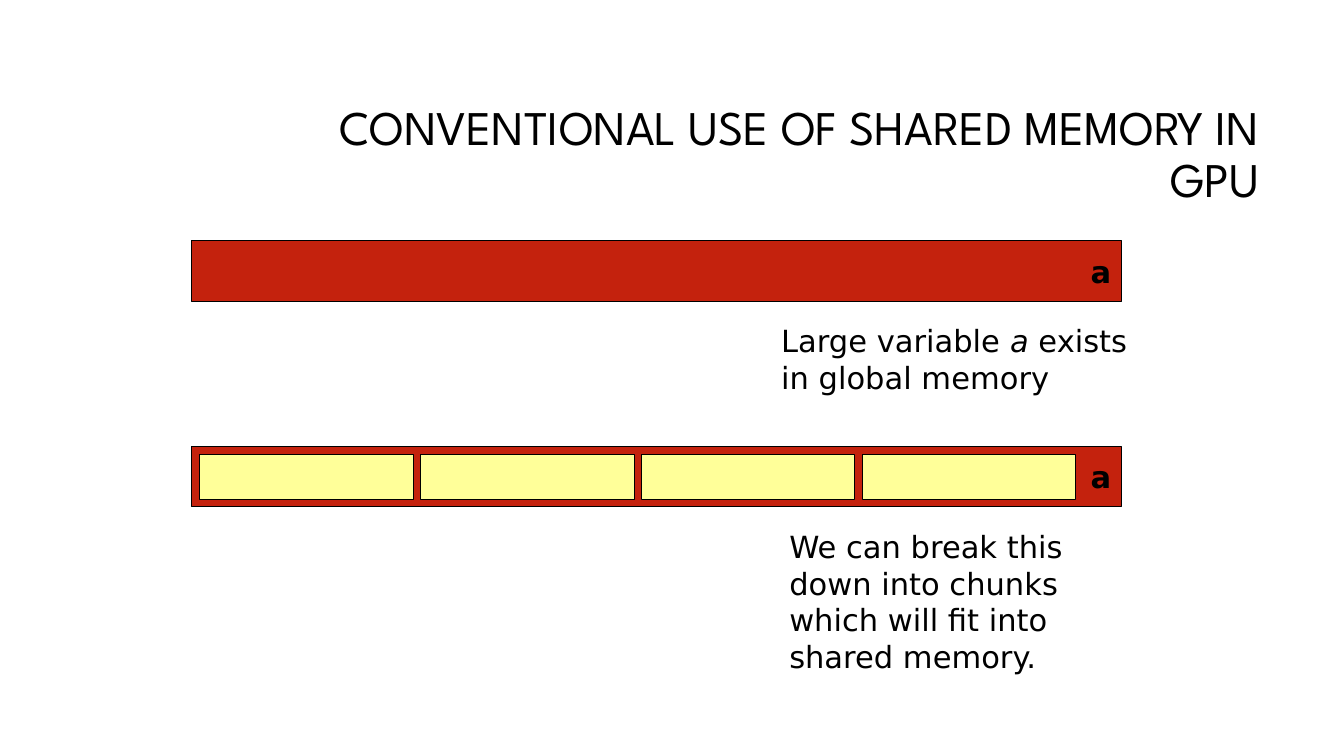
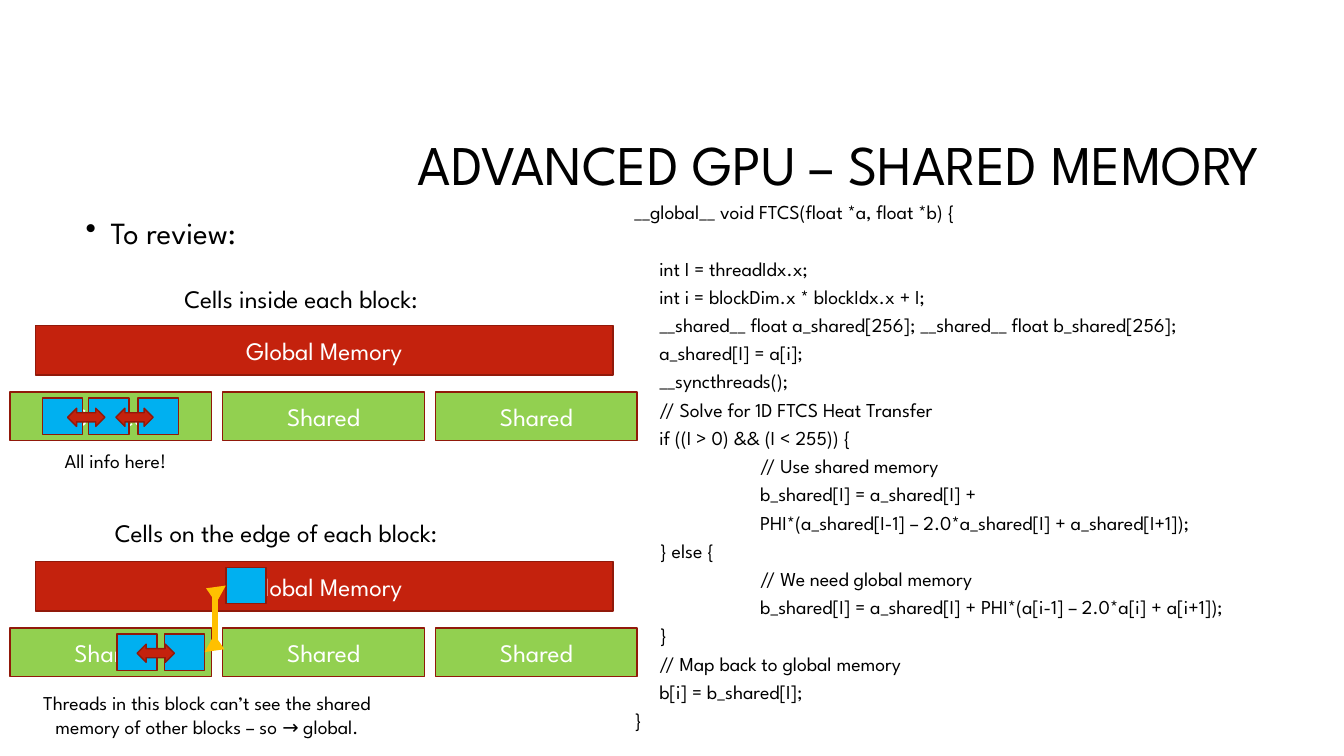
from lxml.etree import SubElement
from pptx import Presentation
from pptx.dml.color import RGBColor
from pptx.enum.shapes import MSO_CONNECTOR, MSO_SHAPE
from pptx.enum.text import MSO_ANCHOR, PP_ALIGN
from pptx.oxml.ns import qn
from pptx.util import Inches, Pt

# Shared styles
BLACK, WHITE = "000000", "FFFFFF"
RED, DARK_RED = "C4220D", "91190A"
YELLOW, GREEN, BLUE, GOLD = "FFFF99", "92D050", "00B0F0", "FFC000"
SPARTAN, DEJAVU = "League Spartan", "DejaVu Sans"

TITLE_PARA = {"alignment": PP_ALIGN.RIGHT, "line_spacing": 0.9}
CENTER = {"alignment": PP_ALIGN.CENTER}
BODY_PARA = {"line_spacing": 0.9, "space_before": Pt(10)}
CODE_PARA = {"line_spacing": 0.6, "space_before": Pt(10)}
NOTE = {"size": Pt(21.8), "name": DEJAVU}
LABEL = {"size": Pt(18), "name": SPARTAN}
SMALL = {"size": Pt(14), "name": SPARTAN}

CODE = [
    "__global__ void FTCS(float *a, float *b) {",
    "\tint I = threadIdx.x;",
    "\tint i = blockDim.x * blockIdx.x + I;",
    "\t__shared__ float a_shared[256]; __shared__ float b_shared[256];",
    "\ta_shared[I] = a[i];",
    "\t__syncthreads();",
    "\t// Solve for 1D FTCS Heat Transfer",
    "\tif ((I > 0) && (I < 255)) {",
    "\t\t// Use shared memory",
    "\t\tb_shared[I] = a_shared[I] +",
    "\t\tPHI*(a_shared[I-1] – 2.0*a_shared[I] + a_shared[I+1]);",
    "\t} else {",
    "\t\t// We need global memory",
    "\t\tb_shared[I] = a_shared[I] + PHI*(a[i-1] – 2.0*a[i] + a[i+1]);",
    "\t}",
    "\t// Map back to global memory",
    "\tb[i] = b_shared[I];",
    "}",
]


def rgb(color):
    return RGBColor.from_string(color)


def apply(target, values):
    for name, value in values.items():
        setattr(target, name, value)


def write(tf, paragraphs, font, para=None, color=BLACK):
    """Fill a text frame; each paragraph is a list of (text, font values)."""
    for i, runs in enumerate(paragraphs):
        p = tf.add_paragraph() if i else tf.paragraphs[0]
        apply(p, para or {})
        for text, extra in runs:
            r = p.add_run()
            r.text = text
            r.font.color.rgb = rgb(color)
            apply(r.font, {**font, **extra})


def plain(*lines):
    return [[(line, {})] for line in lines]


def add_text(s, box, paragraphs, font, para=None, anchor=MSO_ANCHOR.TOP):
    tf = s.shapes.add_textbox(*map(Inches, box)).text_frame
    apply(tf, {"word_wrap": True, "vertical_anchor": anchor})
    write(tf, paragraphs, font, para)
    return tf


def add_box(s, box, fill, line=DARK_RED, width=1, kind=MSO_SHAPE.RECTANGLE):
    sp = s.shapes.add_shape(kind, *map(Inches, box))
    sp.shadow.inherit = False
    sp.fill.solid()
    sp.fill.fore_color.rgb = rgb(fill)
    sp.line.color.rgb = rgb(line)
    sp.line.width = Pt(width)
    sp.text_frame.vertical_anchor = MSO_ANCHOR.MIDDLE
    return sp


def add_title(s, box, text, size):
    add_text(s, box, plain(text), {"size": Pt(size), "name": SPARTAN},
             TITLE_PARA, MSO_ANCHOR.MIDDLE)


def hang(p, bullet=None):
    """Give a paragraph a hanging indent, inch tabs and, if asked, a bullet."""
    ppr = p._p.get_or_add_pPr()
    for name, length in (("marL", 0.25), ("indent", -0.25), ("defTabSz", 1)):
        ppr.set(name, str(Inches(length)))
    if bullet:
        SubElement(ppr, qn("a:buChar")).set("char", bullet)


def variable_bar(s, left, top, chunks=0):
    """The variable a, optionally divided into chunks."""
    bar = add_box(s, (left, top, 9.22, 0.6), RED, BLACK, 0.75)
    bar.text_frame.word_wrap = False
    write(bar.text_frame, plain("a"), {**NOTE, "bold": True},
          {"alignment": PP_ALIGN.RIGHT})
    for i in range(chunks):
        add_box(s, (left + 0.08 + i * 2.19, top + 0.08, 2.12, 0.45),
                YELLOW, BLACK, 0.75)


def memory_diagram(s, left, top):
    """Global memory above three shared blocks."""
    boxes = [((left + 0.25, top, 5.73, 0.49), RED, "Global Memory")]
    boxes += [((left + i * 2.11, top + 0.66, 2, 0.48), GREEN, "Shared")
              for i in range(3)]
    for box, fill, text in boxes:
        sp = add_box(s, box, fill)
        write(sp.text_frame, plain(text), LABEL, CENTER, WHITE)


def cells(s, top, lefts, arrows=()):
    """Cells in a row, with the exchanges between them."""
    for left in lefts:
        add_box(s, (left, top, 0.4, 0.36), BLUE)
    for left in arrows:
        add_box(s, (left, top + 0.1, 0.37, 0.18), RED,
                kind=MSO_SHAPE.LEFT_RIGHT_ARROW)


def elbow_arrow(s, start, end):
    c = s.shapes.add_connector(MSO_CONNECTOR.ELBOW, *map(Inches, start + end))
    c.line.color.rgb = rgb(GOLD)
    c.line.width = Pt(4.25)
    for tag in ("a:headEnd", "a:tailEnd"):
        SubElement(c.line._get_or_add_ln(), qn(tag)).set("type", "triangle")
    SubElement(c._element.spPr, qn("a:effectLst"))


def code_listing(s, box):
    tf = add_text(s, box, plain(*CODE), {"size": Pt(14.1), "name": SPARTAN},
                  CODE_PARA)
    for p in tf.paragraphs:
        hang(p)
    tf.paragraphs[1].space_before = Pt(30)  # gap below the signature


def conventional_slide(s):
    add_title(s, (3.17, 0.84, 9.42, 1.41),
              "CONVENTIONAL USE OF SHARED MEMORY IN GPU", 34.5)
    variable_bar(s, 1.9, 2.39)
    add_text(s, (7.65, 3.15, 3.7, 0.83),
             [[("Large variable ", {}), ("a", {"italic": True}),
               (" exists in global memory", {})]], NOTE)
    variable_bar(s, 1.9, 4.43, chunks=4)
    add_text(s, (7.73, 5.19, 3.7, 1.57),
             plain("We can break this down into chunks which will fit into "
                   "shared memory."), NOTE)


def review_slide(s):
    add_title(s, (1.35, 0.96, 11.24, 1.41), "ADVANCED GPU – SHARED MEMORY", 40)
    tf = add_text(s, (0.75, 2.11, 5.57, 5.13), plain("To review:"),
                  {"size": Pt(22), "name": SPARTAN}, BODY_PARA)
    hang(tf.paragraphs[0], "•")
    code_listing(s, (6.19, 2.02, 6.79, 5.48))

    # Cells inside a block
    memory_diagram(s, 0.1, 3.23)
    add_text(s, (1.73, 2.76, 4.03, 0.4), plain("Cells inside each block:"), LABEL)
    cells(s, 3.95, (0.42, 0.88, 1.37), (0.67, 1.15))
    add_text(s, (0.29, 4.4, 1.71, 0.34), plain("All info here!"), SMALL, CENTER)

    # Cells on the edge of a block
    memory_diagram(s, 0.1, 5.57)
    add_text(s, (1.04, 5.08, 4.85, 0.4),
             plain("Cells on the edge of each block:"), LABEL)
    cells(s, 6.29, (1.16, 1.63), (1.36,))
    cells(s, 5.63, (2.24,))
    elbow_arrow(s, (2.03, 6.47), (2.24, 5.81))
    add_text(s, (0.01, 6.81, 4.09, 0.57),
             plain("Threads in this block can’t see the shared memory of other "
                   "blocks – so → global."), SMALL, CENTER)


def main():
    prs = Presentation()
    prs.slide_width, prs.slide_height = Inches(13.33), Inches(7.5)
    for build in (conventional_slide, review_slide):
        build(prs.slides.add_slide(prs.slide_layouts[6]))
    prs.save("out.pptx")


if __name__ == "__main__":
    main()
